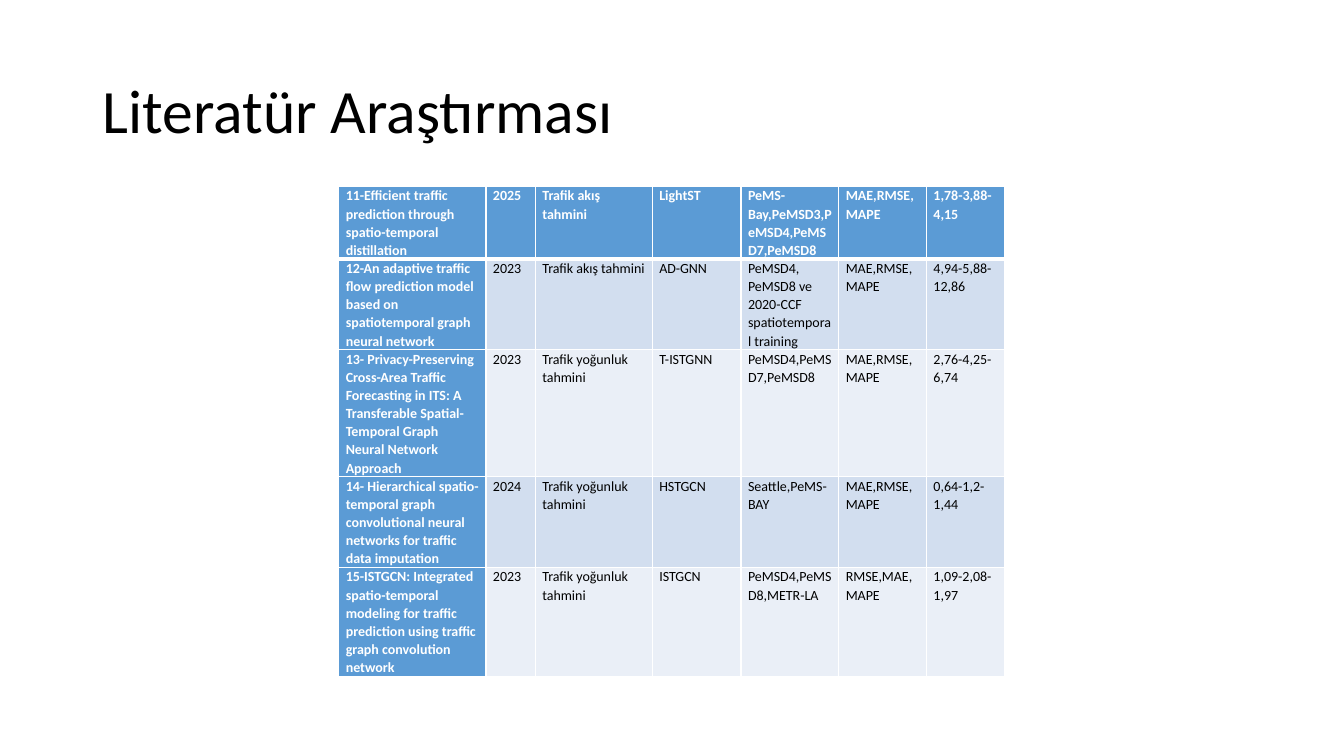
import dataclasses

import lxml.etree
import pptx
import pptx.dml.color
import pptx.enum.text
import pptx.oxml.ns
import pptx.util

PX = 9144  # EMU per px, 100 px to the inch
FONT = "Calibri"
BLACK, WHITE = "000000", "FFFFFF"
ACCENT, BAND_DARK, BAND_LIGHT = "5B9BD5", "D2DEEF", "EAEFF7"
COL_WIDTHS = (146, 49, 116, 88, 97, 87, 78)


@dataclasses.dataclass(frozen=True)
class Study:
    height: int
    title: str
    year: str
    task: str
    model: str
    data: str
    metrics: str
    scores: str

    def texts(self) -> tuple[str, ...]:
        return (self.title, self.year, self.task, self.model,
                self.data, self.metrics, self.scores)


STUDIES = (
    Study(70, "11-Efficient traffic prediction through spatio-temporal distillation",
          "2025", "Trafik akış tahmini", "LightST",
          "PeMS-Bay,PeMSD3,PeMSD4,PeMSD7,PeMSD8", "MAE,RMSE,MAPE", "1,78-3,88-4,15"),
    Study(88, "12-An adaptive traffic flow prediction model based on "
              "spatiotemporal graph neural network",
          "2023", "Trafik akış tahmini", "AD-GNN",
          "PeMSD4, PeMSD8 ve 2020-CCF spatiotemporal training",
          "MAE,RMSE,MAPE", "4,94-5,88-12,86"),
    Study(123, "13- Privacy-Preserving Cross-Area Traffic Forecasting in ITS: "
               "A Transferable Spatial-Temporal Graph Neural Network Approach",
          "2023", "Trafik yoğunluk tahmini", "T-ISTGNN",
          "PeMSD4,PeMSD7,PeMSD8", "MAE,RMSE,MAPE", "2,76-4,25-6,74"),
    Study(88, "14- Hierarchical spatio-temporal graph convolutional neural "
              "networks for traffic data imputation",
          "2024", "Trafik yoğunluk tahmini", "HSTGCN",
          "Seattle,PeMS-BAY", "MAE,RMSE,MAPE", "0,64-1,2-1,44"),
    Study(106, "15-ISTGCN: Integrated spatio-temporal modeling for traffic "
               "prediction using traffic graph convolution network",
          "2023", "Trafik yoğunluk tahmini", "ISTGCN",
          "PeMSD4,PeMSD8,METR-LA", "RMSE,MAE,MAPE", "1,09-2,08-1,97"),
)


def px(n: int) -> pptx.util.Emu:
    return pptx.util.Emu(n * PX)


def rgb(color: str) -> pptx.dml.color.RGBColor:
    return pptx.dml.color.RGBColor.from_string(color)


def write(tf, text: str, size: int, color: str, bold: bool, spacing: float) -> None:
    p = tf.paragraphs[0]
    p.alignment = pptx.enum.text.PP_ALIGN.LEFT
    p.line_spacing = spacing
    r = p.add_run()
    r.text = text
    r.font.name = FONT
    r.font.size = pptx.util.Pt(size)
    r.font.bold = bold
    r.font.color.rgb = rgb(color)


def add_border(cell, side: str, width: int) -> None:
    qn = pptx.oxml.ns.qn
    tc_pr = cell._tc.get_or_add_tcPr()
    ln = lxml.etree.SubElement(tc_pr, qn(f"a:ln{side}"), w=str(pptx.util.Pt(width)))
    fill = lxml.etree.SubElement(ln, qn("a:solidFill"))
    lxml.etree.SubElement(fill, qn("a:srgbClr"), val=WHITE)


def format_cell(cell, text: str, row: int, col: int) -> None:
    header = row == 0 or col == 0
    cell.margin_left = cell.margin_right = px(7)
    cell.margin_top = cell.margin_bottom = 0
    # The rule under the first row is thicker
    widths = {"L": 1, "R": 1, "T": 3 if row == 1 else 1, "B": 3 if row == 0 else 1}
    for side, width in widths.items():
        add_border(cell, side, width)
    cell.fill.solid()
    band = BAND_DARK if row % 2 else BAND_LIGHT
    cell.fill.fore_color.rgb = rgb(ACCENT if header else band)
    write(cell.text_frame, text, 10, WHITE if header else BLACK, header, 1.07)


def add_title(s, text: str) -> None:
    title = s.shapes.title
    title.left, title.top, title.width, title.height = map(px, (92, 40, 1150, 145))
    tf = title.text_frame
    tf.word_wrap = True
    tf.vertical_anchor = pptx.enum.text.MSO_ANCHOR.MIDDLE
    write(tf, text, 44, BLACK, False, 0.9)


def add_studies(s, studies: tuple[Study, ...]) -> None:
    height = sum(study.height for study in studies)
    frame = s.shapes.add_table(len(studies), len(COL_WIDTHS), px(336), px(185),
                               px(sum(COL_WIDTHS)), px(height))
    table = frame.table
    table.first_col = True
    for column, width in zip(table.columns, COL_WIDTHS):
        column.width = px(width)
    for row, study in enumerate(studies):
        table.rows[row].height = px(study.height)
        for col, text in enumerate(study.texts()):
            format_cell(table.cell(row, col), text, row, col)


def main() -> None:
    prs = pptx.Presentation()
    prs.slide_width, prs.slide_height = px(1333), px(750)
    s = prs.slides.add_slide(prs.slide_layouts.get_by_name("Title Only"))
    s.background.fill.solid()
    s.background.fill.fore_color.rgb = rgb(WHITE)
    add_title(s, "Literatür Araştırması")
    add_studies(s, STUDIES)
    prs.save("out.pptx")


if __name__ == "__main__":
    main()
